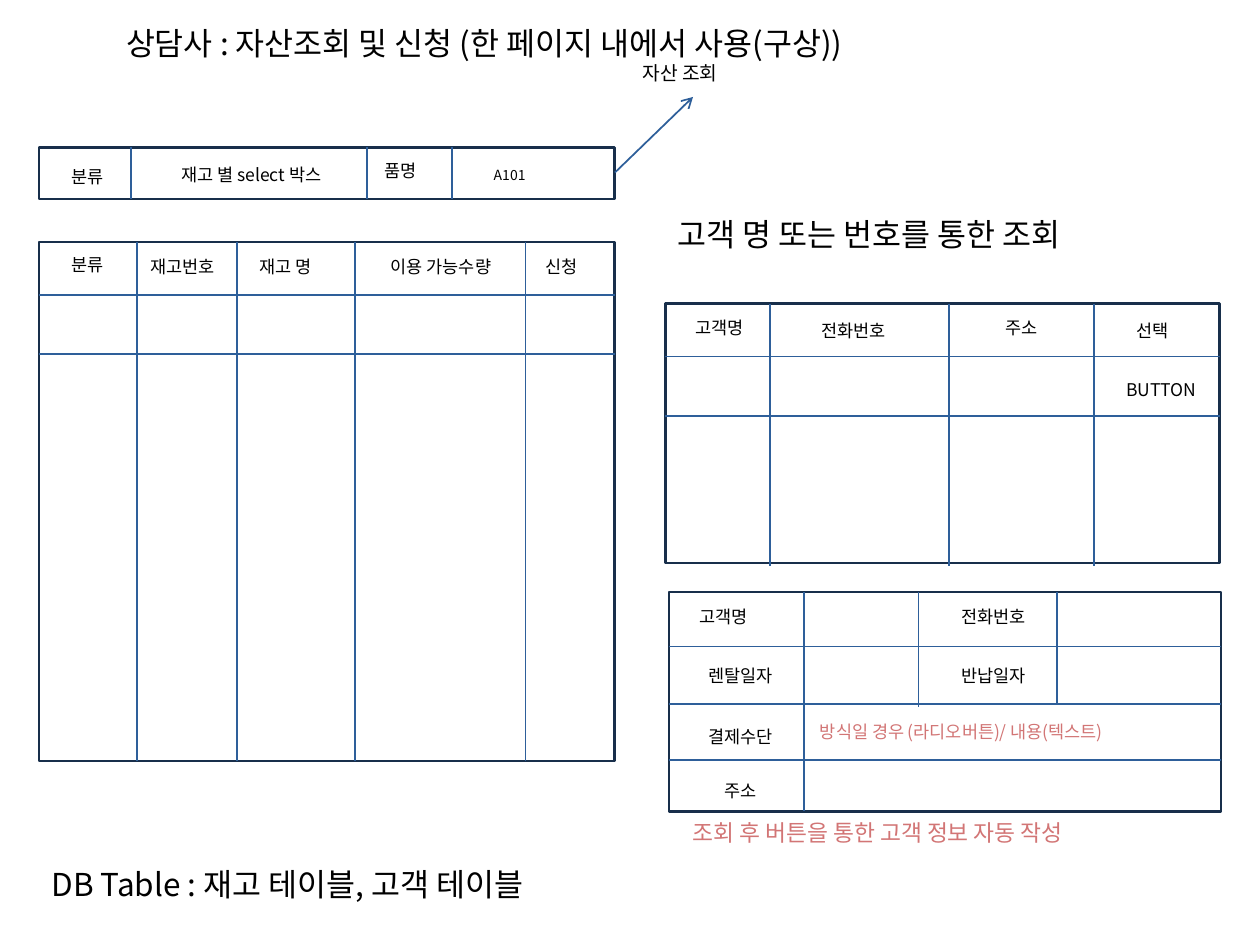
from dataclasses import dataclass

from lxml import etree
from pptx import Presentation
from pptx import util as u
from pptx.dml.color import RGBColor
from pptx.enum import shapes, text
from pptx.oxml.ns import qn


@dataclass(frozen=True)
class Theme:
    font: str = "Noto Sans CJK KR"
    ink: str = "000000"
    note: str = "D27575"
    border: str = "182F4B"
    rule: str = "2E5F9A"
    heading: float = 18
    remark: float = 13
    callout: float = 11
    label: float = 10
    sample: float = 8


THEME = Theme()
LEFT, CENTER = text.PP_ALIGN.LEFT, text.PP_ALIGN.CENTER


# Shared drawing helpers
def write(frame, words, size, color=THEME.ink, align=LEFT):
    frame.text = words
    for key, value in {"word_wrap": True, "vertical_anchor": text.MSO_ANCHOR.TOP,
                       "auto_size": text.MSO_AUTO_SIZE.NONE}.items():
        setattr(frame, key, value)
    paragraph = frame.paragraphs[0]
    paragraph.alignment = align
    font = paragraph.runs[0].font
    for key, value in {"name": THEME.font, "size": u.Pt(size)}.items():
        setattr(font, key, value)
    font.color.rgb = RGBColor.from_string(color)
    east_asian = etree.SubElement(paragraph.runs[0]._r.get_or_add_rPr(), qn("a:ea"))
    east_asian.set("typeface", THEME.font)


def add_text(slide, words, left, top, width, height=0.31, size=THEME.label, **style):
    box = slide.shapes.add_textbox(*map(u.Inches, (left, top, width, height)))
    write(box.text_frame, words, size, **style)


def add_rule(slide, x1, y1, x2, y2, arrow=False):
    rule = slide.shapes.add_connector(
        shapes.MSO_CONNECTOR.STRAIGHT, *map(u.Inches, (x1, y1, x2, y2)))
    rule.line.color.rgb = RGBColor.from_string(THEME.rule)
    rule.line.width = u.Pt(1)
    if arrow:
        etree.SubElement(rule.line._get_or_add_ln(), qn("a:tailEnd")).set("type", "arrow")
    etree.SubElement(rule._element.spPr, qn("a:effectLst"))


def add_grid(slide, box, columns, rows=(), labels=()):
    """Columns are (x, bottom), rows are y, labels are (words, x, y, width), from the box corner."""
    left, top, width, height = box
    border = slide.shapes.add_shape(
        shapes.MSO_SHAPE.RECTANGLE, *map(u.Inches, box))
    border.shadow.inherit = False
    border.fill.background()
    border.line.color.rgb = RGBColor.from_string(THEME.border)
    border.line.width = u.Pt(1.5)
    for x, bottom in columns:
        add_rule(slide, left + x, top, left + x, top + bottom)
    for y in rows:
        add_rule(slide, left, top + y, left + width, top + y)
    for words, x, y, label_width in labels:
        add_text(slide, words, left + x, top + y, label_width, align=CENTER)


# Regions
def add_headings(slide):
    title = slide.shapes.title
    for key, value in {"left": 0.9, "top": 0.14, "width": 9.1, "height": 0.47}.items():
        setattr(title, key, u.Inches(value))
    write(title.text_frame, "상담사 : 자산조회 및 신청 (한 페이지 내에서 사용(구상))", THEME.heading)
    add_text(slide, "고객 명 또는 번호를 통한 조회", 5.28, 1.66, 4.35, 0.47, THEME.heading)
    add_text(slide, "DB Table : 재고 테이블, 고객 테이블", 0.31, 6.82, 5.29, 0.47, THEME.heading)


def add_search_bar(slide, box):
    left, top, width, height = box
    add_grid(slide, box, [(x, height) for x in (0.73, 2.6, 3.28)],
             labels=[("분류", 0.1, 0.1, 0.57), ("재고 별 select 박스", 0.71, 0.08, 1.95)])
    add_text(slide, "품명", left + 2.64, top + 0.05, 0.57)
    add_text(slide, "A101", left + 3.51, top + 0.1, 0.75, 0.26, THEME.sample)
    # Callout
    add_rule(slide, left + width, top + 0.2, left + 5.19, top - 0.4, arrow=True)
    add_text(slide, "자산 조회", left + 4.69, top - 0.73, 1, 0.33, THEME.callout)


def add_stock_list(slide, box):
    add_grid(slide, box, [(x, box[3]) for x in (0.78, 1.57, 2.51, 3.86)], (0.42, 0.89),
             [("분류", 0.1, 0.05, 0.57), ("재고번호", 0.68, 0.06, 0.92),
              ("재고 명", 1.57, 0.06, 0.77), ("이용 가능수량", 2.52, 0.06, 1.34),
              ("신청", 3.86, 0.06, 0.57)])


def add_customer_list(slide, box):
    add_grid(slide, box, [(x, 2.08) for x in (0.83, 2.25, 3.4)], (0.42, 0.89),
             [("고객명", 0.03, 0.06, 0.8), ("전화번호", 0.99, 0.08, 1.01),
              ("주소", 2.54, 0.06, 0.57), ("선택", 3.58, 0.08, 0.57),
              ("BUTTON", 3.46, 0.55, 0.95)])


def add_rental_form(slide, box):
    left, top, width, height = box
    add_grid(slide, box, [(1.07, height), (1.98, 0.91), (3.08, 0.89)], (0.43, 0.89, 1.33),
             [("고객명", 0.03, 0.06, 0.8), ("전화번호", 2.07, 0.06, 1.01),
              ("렌탈일자", 0.03, 0.53, 1.08), ("반납일자", 2.07, 0.53, 1.01),
              ("결제수단", 0.03, 1.01, 1.08), ("주소", 0.28, 1.44, 0.57)])
    add_text(slide, "방식일 경우 (라디오버튼)/ 내용(텍스트)", left + 1.1, top + 0.97, 3.16,
             color=THEME.note)
    add_text(slide, "조회 후 버튼을 통한 고객 정보 자동 작성", left + 0.09, top + height + 0.01,
             4.18, 0.37, THEME.remark, color=THEME.note)


deck = Presentation()
deck.slide_width, deck.slide_height = u.Inches(10), u.Inches(7.5)
page = deck.slides.add_slide(deck.slide_layouts.get_by_name("Title Only"))
add_headings(page)
add_search_bar(page, (0.31, 1.17, 4.57, 0.41))
add_stock_list(page, (0.31, 1.92, 4.57, 4.12))
add_customer_list(page, (5.28, 2.41, 4.4, 2.06))
add_rental_form(page, (5.31, 4.7, 4.38, 1.74))
deck.save("out.pptx")
